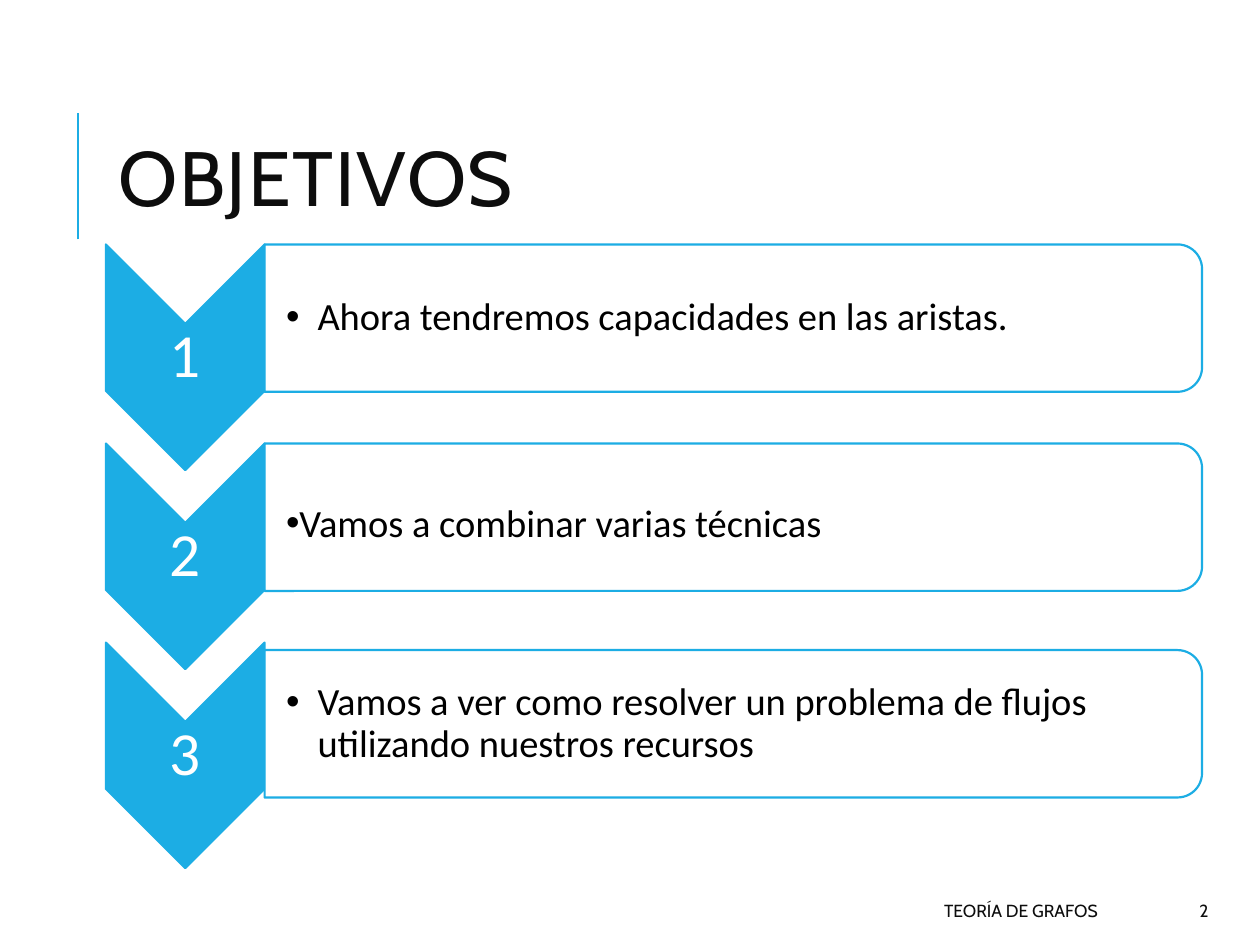
from lxml.etree import SubElement
from pptx import Presentation
from pptx.dml.color import RGBColor
from pptx.enum.shapes import MSO_CONNECTOR, MSO_SHAPE
from pptx.enum.text import MSO_ANCHOR, PP_ALIGN
from pptx.oxml.ns import qn
from pptx.util import Pt

PX = 9144  # 100 px to the inch
COLORS = {"accent": "1CADE4", "title": "0D0D0D", "text": "000000", "white": "FFFFFF"}


def put_text(sp, text, size, font, color, align=PP_ALIGN.LEFT, spacing=1.0,
             insets=(10, 5, 10, 5), indent=None, tracking=None):
    tf = sp.text_frame
    tf.word_wrap = True
    tf.vertical_anchor = MSO_ANCHOR.MIDDLE
    tf.margin_left, tf.margin_top, tf.margin_right, tf.margin_bottom = (
        i * PX for i in insets)
    p = tf.paragraphs[0]
    p.alignment = align
    p.line_spacing = spacing
    r = p.add_run()
    r.text = text
    r.font.size = Pt(size)
    r.font.name = font
    r.font.color.rgb = RGBColor.from_string(COLORS[color])
    if tracking:
        r.font._element.set("spc", str(tracking))
    if indent is not None:
        pPr = p._p.get_or_add_pPr()
        pPr.set("marL", str(indent * PX))
        pPr.set("indent", str(-indent * PX))
        SubElement(pPr, qn("a:buFont"), typeface="Arial")
        SubElement(pPr, qn("a:buChar"), char="•")


def add_rotated(s, kind, x, y, w, h, fill):
    """Add a shape turned by 90 degrees that covers the box x, y, w, h."""
    sp = s.shapes.add_shape(kind, int((x + w / 2 - h / 2) * PX),
                            int((y + h / 2 - w / 2) * PX), h * PX, w * PX)
    sp.rotation = 90
    sp.shadow.inherit = False
    sp.fill.solid()
    sp.fill.fore_color.rgb = RGBColor.from_string(COLORS[fill])
    sp.line.color.rgb = RGBColor.from_string(COLORS["accent"])
    sp.line.width = Pt(1.25)
    return sp


prs = Presentation()
prs.slide_width, prs.slide_height = 1000 * PX, 750 * PX
s = prs.slides.add_slide(prs.slide_layouts[5])

# Title with accent line
line = s.shapes.add_connector(MSO_CONNECTOR.STRAIGHT, 62 * PX, 190 * PX, 62 * PX, 90 * PX)
line.line.color.rgb = RGBColor.from_string(COLORS["accent"])
line.line.width = Pt(1.5)
SubElement(line._element.spPr, qn("a:effectLst"))

title = s.shapes.title
title.left, title.top, title.width, title.height = 84 * PX, 64 * PX, 797 * PX, 164 * PX
put_text(title, "OBJETIVOS", 44, "Cabin", "title", spacing=0.8, tracking=100)

# Objectives: box top, text shift, hanging indent, text
objectives = [
    (194, 0, 25, "Ahora tendremos capacidades en las aristas."),
    (352, 6, 0, "Vamos a combinar varias técnicas"),
    (516, 0, 25, "Vamos a ver como resolver un problema de flujos utilizando nuestros recursos"),
]
for i, (top, shift, indent, text) in enumerate(objectives):
    y = 194 + 158 * i
    add_rotated(s, MSO_SHAPE.CHEVRON, 84, y, 126, 179, "accent")
    number = s.shapes.add_textbox(84 * PX, (y + 63) * PX, 126 * PX, 54 * PX)
    put_text(number, str(i + 1), 35, "Calibri", "white", align=PP_ALIGN.CENTER,
             spacing=0.9, insets=(2, 2, 2, 2))

    box = add_rotated(s, MSO_SHAPE.ROUND_2_SAME_RECTANGLE, 210, top, 744, 117, "white")
    fill_color = box._element.spPr.find(qn("a:solidFill"))[0]
    SubElement(fill_color, qn("a:alpha"), val="90000")
    label = s.shapes.add_textbox(210 * PX, (top + 6 + shift) * PX, 738 * PX, 105 * PX)
    put_text(label, text, 22, "Calibri", "text", spacing=0.9,
             insets=(17, 2, 2, 2), indent=indent)

# Footer and slide number
for x, w, text in [(397, 484, "TEORÍA DE GRAFOS"), (889, 80, "2")]:
    footer = s.shapes.add_textbox(x * PX, 708 * PX, w * PX, 30 * PX)
    put_text(footer, text, 10, "Cabin", "title", align=PP_ALIGN.RIGHT)

prs.save("out.pptx")
